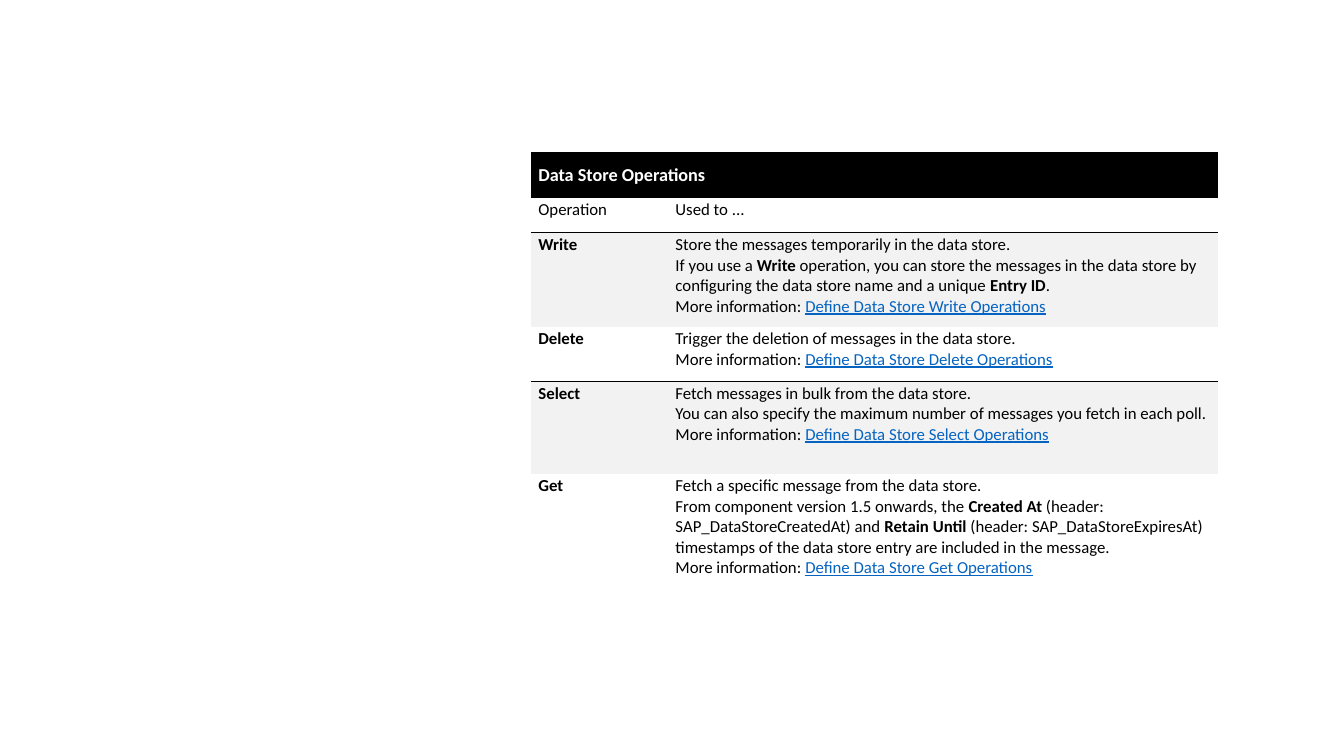
from dataclasses import dataclass

from lxml import etree
from pptx import Presentation
from pptx.dml.color import RGBColor
from pptx.enum import text
from pptx.oxml import ns
from pptx.util import Inches, Pt


@dataclass(frozen=True)
class Theme:
    font: str = "Calibri"
    title_size: float = 13
    body_size: float = 12
    ink: str = "000000"
    paper: str = "FFFFFF"
    band: str = "F2F2F2"
    link: str = "0563C1"
    rule_width: float = 1


@dataclass(frozen=True)
class Operation:
    name: str
    height: float
    uses: tuple[str, ...]  # **double asterisks** enclose bold words
    shaded: bool = False


THEME = Theme()
COLUMN_WIDTHS = (1.36, 5.45)
TITLE_HEIGHT, LABELS_HEIGHT = 0.45, 0.35

OPERATIONS = (
    Operation("Write", 0.92, (
        "Store the messages temporarily in the data store.",
        "If you use a **Write** operation, you can store the messages in the data store by "
        "configuring the data store name and a unique **Entry ID**.",
    ), shaded=True),
    Operation("Delete", 0.54, ("Trigger the deletion of messages in the data store.",)),
    Operation("Select", 0.92, (
        "Fetch messages in bulk from the data store.",
        "You can also specify the maximum number of messages you fetch in each poll.",
    ), shaded=True),
    Operation("Get", 1.32, (
        "Fetch a specific message from the data store.",
        "From component version 1.5 onwards, the **Created At** "
        "(header: SAP_DataStoreCreatedAt) and **Retain Until** "
        "(header: SAP_DataStoreExpiresAt) timestamps of the data store entry are "
        "included in the message.",
    )),
)


def set_borders(cell, ruled: str) -> None:
    """Rule the sides named in ruled (L, R, T, B) and clear the others."""
    properties = cell._tc.get_or_add_tcPr()
    for side in "LRTB":
        line = etree.SubElement(properties, ns.qn(f"a:ln{side}"))
        if side in ruled:
            line.set("w", str(Pt(THEME.rule_width)))
            fill = etree.SubElement(line, ns.qn("a:solidFill"))
            etree.SubElement(fill, ns.qn("a:srgbClr")).set("val", THEME.ink)
        else:
            etree.SubElement(line, ns.qn("a:noFill"))


def style_cell(cell, fill: str | None, ruled: str = "", top: float = 0.02) -> None:
    cell.margin_left, cell.margin_right = Inches(0.07), Inches(0.05)
    cell.margin_top, cell.margin_bottom = Inches(top), Inches(0.1)
    set_borders(cell, ruled)
    if fill:
        cell.fill.solid()
        cell.fill.fore_color.rgb = RGBColor.from_string(fill)
    else:
        cell.fill.background()


def write(paragraph, words: str, size: float = THEME.body_size, color: str = THEME.ink) -> None:
    paragraph.font.name = THEME.font
    paragraph.font.size = Pt(size)
    for index, part in enumerate(words.split("**")):
        if part:
            run = paragraph.add_run()
            run.text = part
            run.font.name = THEME.font
            run.font.size = Pt(size)
            run.font.bold = index % 2 == 1
            run.font.color.rgb = RGBColor.from_string(color)


def write_uses(frame, operation: Operation) -> None:
    for index, use in enumerate(operation.uses):
        write(frame.add_paragraph() if index else frame.paragraphs[0], use)
    more = frame.add_paragraph()
    write(more, "More information: ")
    write(more, f"Define Data Store {operation.name} Operations", color=THEME.link)
    more.runs[-1].font.underline = True


def add_operations_table(slide) -> None:
    heights = (TITLE_HEIGHT, LABELS_HEIGHT, *(o.height for o in OPERATIONS))
    table = slide.shapes.add_table(
        len(heights), len(COLUMN_WIDTHS), Inches(5.27), Inches(1.51),
        Inches(sum(COLUMN_WIDTHS)), Inches(sum(heights))).table
    table.first_row = table.horz_banding = False
    for column, width in zip(table.columns, COLUMN_WIDTHS):
        column.width = Inches(width)
    for row, height in zip(table.rows, heights):
        row.height = Inches(height)

    # Title across both columns
    title = table.cell(0, 0)
    title.merge(table.cell(0, 1))
    style_cell(title, THEME.ink, top=0.1)
    title.vertical_anchor = text.MSO_ANCHOR.MIDDLE
    write(title.text_frame.paragraphs[0], "**Data Store Operations**", THEME.title_size, THEME.paper)

    # Column labels
    for column, label in enumerate(("Operation", "Used to ...")):
        cell = table.cell(1, column)
        style_cell(cell, None, "B")
        write(cell.text_frame.paragraphs[0], label)

    # Operations: a rule parts each white row from the shaded row below it
    for row, operation in enumerate(OPERATIONS, start=2):
        name, uses = table.cell(row, 0), table.cell(row, 1)
        open_side = "" if operation is OPERATIONS[-1] else "B"
        for cell in (name, uses):
            if operation.shaded:
                style_cell(cell, THEME.band, "T")
            else:
                style_cell(cell, None, open_side)
        write(name.text_frame.paragraphs[0], f"**{operation.name}**")
        write_uses(uses.text_frame, operation)


def main() -> None:
    deck = Presentation()
    deck.slide_width, deck.slide_height = Inches(13.33), Inches(7.5)
    add_operations_table(deck.slides.add_slide(deck.slide_layouts[6]))
    deck.save("out.pptx")


if __name__ == "__main__":
    main()
